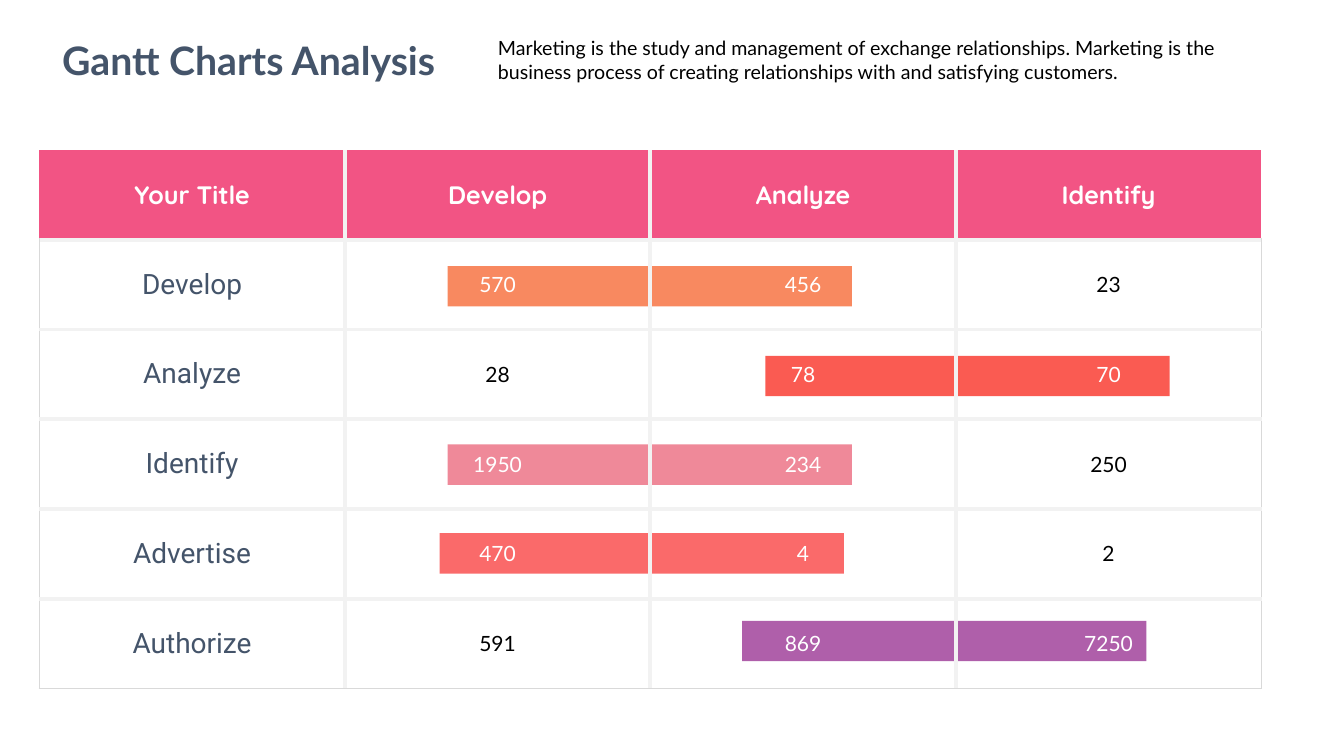
from dataclasses import dataclass

from lxml import etree
from pptx import Presentation
from pptx.dml.color import RGBColor
from pptx.enum.shapes import MSO_SHAPE
from pptx.enum.text import MSO_ANCHOR, MSO_AUTO_SIZE, PP_ALIGN
from pptx.oxml.ns import qn
from pptx.util import Emu, Pt

BAR = MSO_SHAPE.ROUNDED_RECTANGLE
CENTER, LEFT = PP_ALIGN.CENTER, PP_ALIGN.LEFT
MIDDLE = MSO_ANCHOR.MIDDLE
GROW = MSO_AUTO_SIZE.SHAPE_TO_FIT_TEXT

PX = 9144  # 100 px to the inch
COLORS = {
    "navy": "44546A", "black": "000000", "white": "FFFFFF",
    "pink": "F25484", "grid": "F2F2F2", "edge": "D9D9D9",
    "orange": "F88960", "red": "FA5B52", "rose": "EF8999",
    "coral": "FA6A6A", "purple": "AF5FAA",
}


@dataclass(frozen=True)
class Style:
    font: str
    size: int
    color: str
    bold: bool = False


@dataclass(frozen=True)
class Task:
    name: str
    values: tuple[str, str, str]
    color: str
    left: int
    top: int
    first: int  # first of the two columns under the bar


TITLE = Style("Lato", 28, "navy", True)
INTRO = Style("Lato", 14, "black")
HEAD = Style("Quicksand", 18, "white", True)
LABEL = Style("Roboto", 20, "navy")
ON_BAR = Style("Lato", 15, "white")
PLAIN = Style("Lato", 15, "black")

HEADS = ("Your Title", "Develop", "Analyze", "Identify")
TASKS = (
    Task("Develop", ("570", "456", "23"), "orange", 444, 264, 1),
    Task("Analyze", ("28", "78", "70"), "red", 759, 353, 2),
    Task("Identify", ("1950", "234", "250"), "rose", 444, 441, 1),
    Task("Advertise", ("470", "4", "2"), "coral", 436, 529, 1),
    Task("Authorize", ("591", "869", "7250"), "purple", 736, 616, 2),
)
BAR_W, BAR_H = 401, 40
COL_W, ROW_H = 303, 89
COLS, ROWS = len(HEADS), len(TASKS) + 1


def px(*sizes: int) -> list[Emu]:
    return [Emu(size * PX) for size in sizes]


def rgb(name: str) -> RGBColor:
    return RGBColor.from_string(COLORS[name])


def write(frame, text: str, style: Style, align) -> None:
    para = frame.paragraphs[0]
    para.alignment = align
    run = para.add_run()
    run.text = text
    font = run.font
    font.name, font.size, font.bold = style.font, Pt(style.size), style.bold
    font.color.rgb = rgb(style.color)


def add_text(slide, box: tuple, text: str, style: Style, align, wrap: bool) -> None:
    frame = slide.shapes.add_textbox(*px(*box)).text_frame
    frame.word_wrap = wrap
    frame.auto_size = GROW
    write(frame, text, style, align)


def add_bar(slide, task: Task) -> None:
    bar = slide.shapes.add_shape(BAR, *px(task.left, task.top, BAR_W, BAR_H))
    bar.adjustments[0] = 0
    bar.shadow.inherit = False
    bar.fill.solid()
    bar.fill.fore_color.rgb = rgb(task.color)
    bar.line.fill.background()


def add_side(cell, side: str, color: str | None, width: int) -> None:
    line = etree.SubElement(cell._tc.get_or_add_tcPr(), qn(f"a:ln{side}"))
    if color is None:
        line.set("w", "0")
        etree.SubElement(line, qn("a:noFill"))
        return
    line.set("w", str(Pt(width)))
    fill = etree.SubElement(line, qn("a:solidFill"))
    etree.SubElement(fill, qn("a:srgbClr")).set("val", COLORS[color])


def add_sides(cell, row: int, col: int) -> None:
    # The header has no outer edge; the body has a thin one
    outer = {"L": col == 0, "R": col == COLS - 1,
             "T": row == 0, "B": row == ROWS - 1}
    for side, edge in outer.items():
        if not edge:
            add_side(cell, side, "grid", 3)
        else:
            add_side(cell, side, "edge" if row else None, 1)


def fill_cell(cell, row: int, col: int) -> None:
    add_sides(cell, row, col)
    cell.vertical_anchor = MIDDLE
    cell.margin_left, cell.margin_right, cell.margin_top, cell.margin_bottom = px(5, 5, 3, 3)
    if row == 0:
        cell.fill.solid()
        cell.fill.fore_color.rgb = rgb("pink")
        text, style = HEADS[col], HEAD
    else:
        cell.fill.background()
        task = TASKS[row - 1]
        if col == 0:
            text, style = task.name, LABEL
        else:
            text = task.values[col - 1]
            style = ON_BAR if col in (task.first, task.first + 1) else PLAIN
    write(cell.text_frame, text, style, CENTER)


def add_grid(slide) -> None:
    box = px(39, 149, COLS * COL_W, ROWS * ROW_H)
    table = slide.shapes.add_table(ROWS, COLS, *box).table
    table.first_row = table.horz_banding = False
    for col in table.columns:
        col.width = Emu(COL_W * PX)
    for row in range(ROWS):
        table.rows[row].height = Emu(ROW_H * PX)
        for col in range(COLS):
            fill_cell(table.cell(row, col), row, col)


def main() -> None:
    deck = Presentation()
    deck.slide_width, deck.slide_height = px(1333, 750)
    slide = deck.slides.add_slide(deck.slide_layouts[6])

    # Heading
    add_text(slide, (39, 31, 415, 57), "Gantt Charts Analysis", TITLE, CENTER, False)
    add_text(slide, (484, 31, 782, 57),
             "Marketing is the study and management of exchange relationships. "
             "Marketing is the business process of creating relationships with "
             "and satisfying customers.", INTRO, LEFT, True)

    # Bars lie under the open cells of the table
    for task in TASKS:
        add_bar(slide, task)
    add_grid(slide)

    deck.save("out.pptx")


if __name__ == "__main__":
    main()
